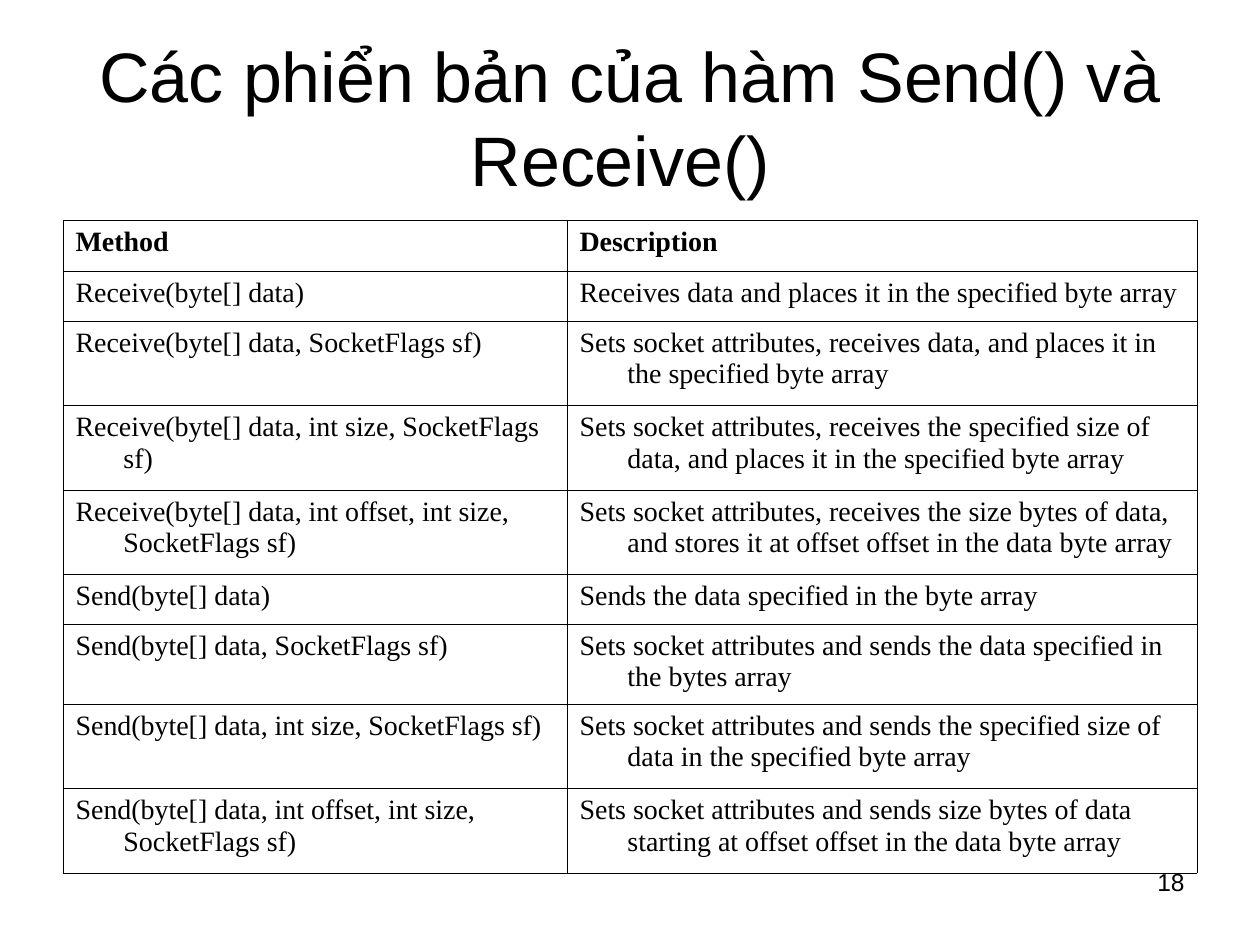
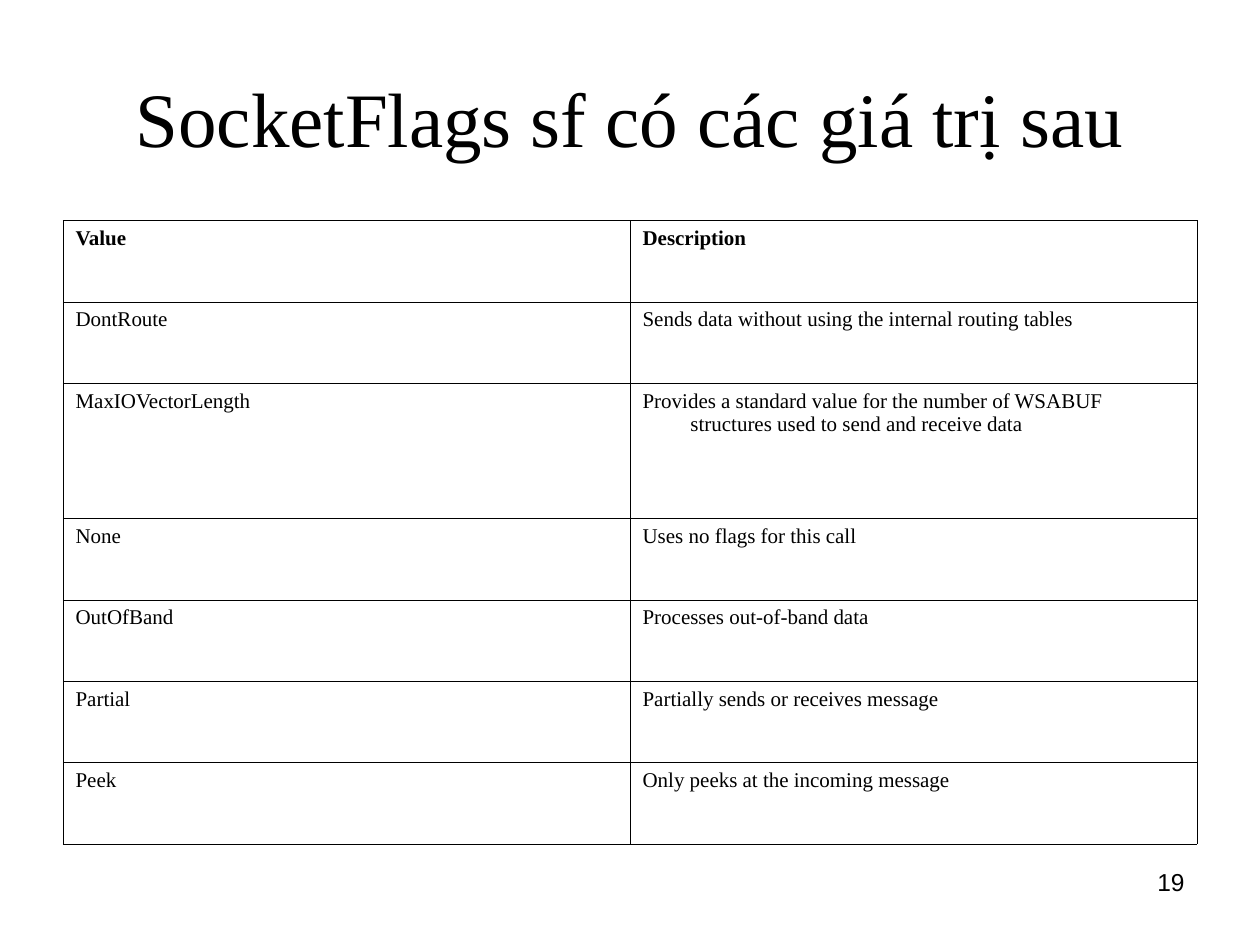
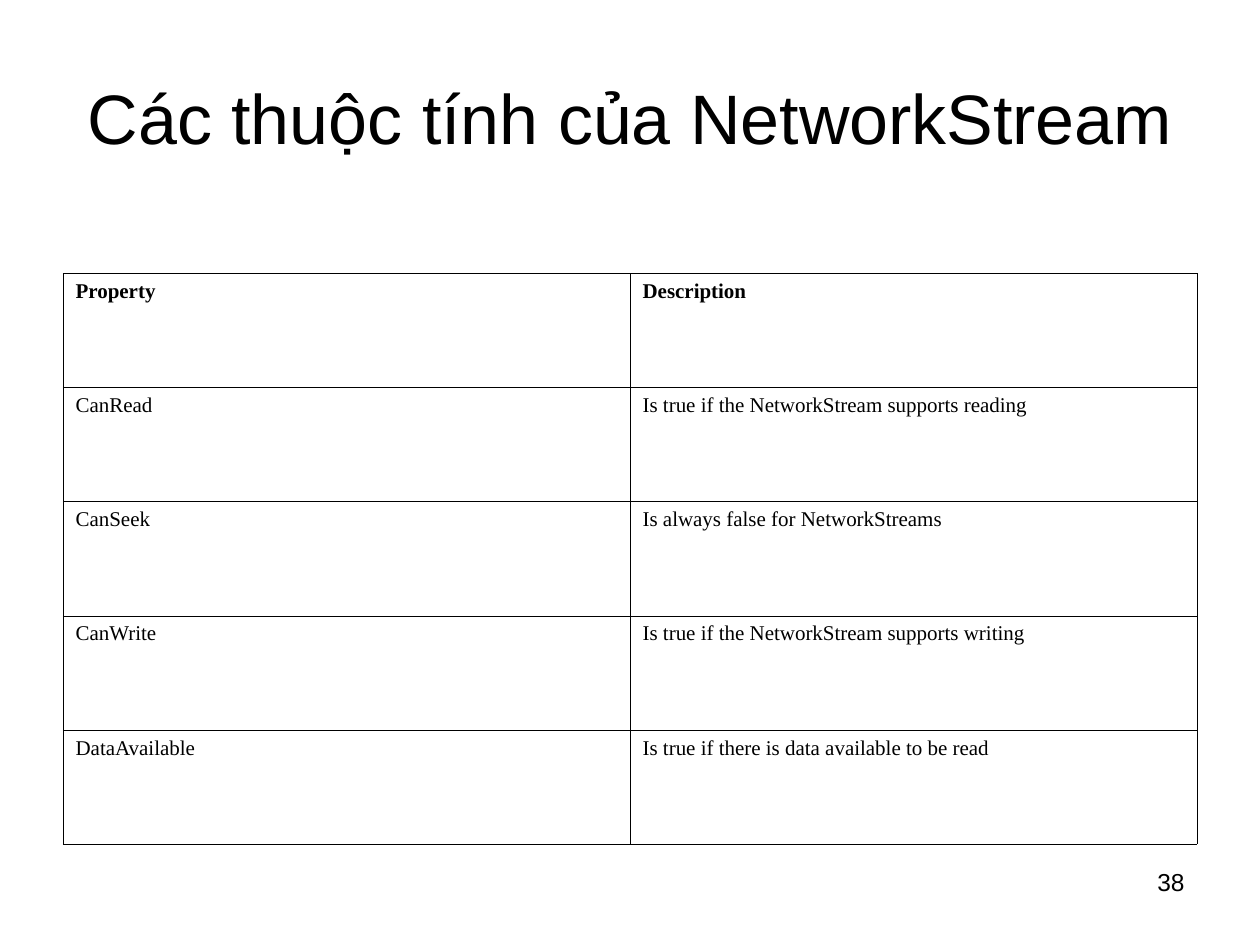
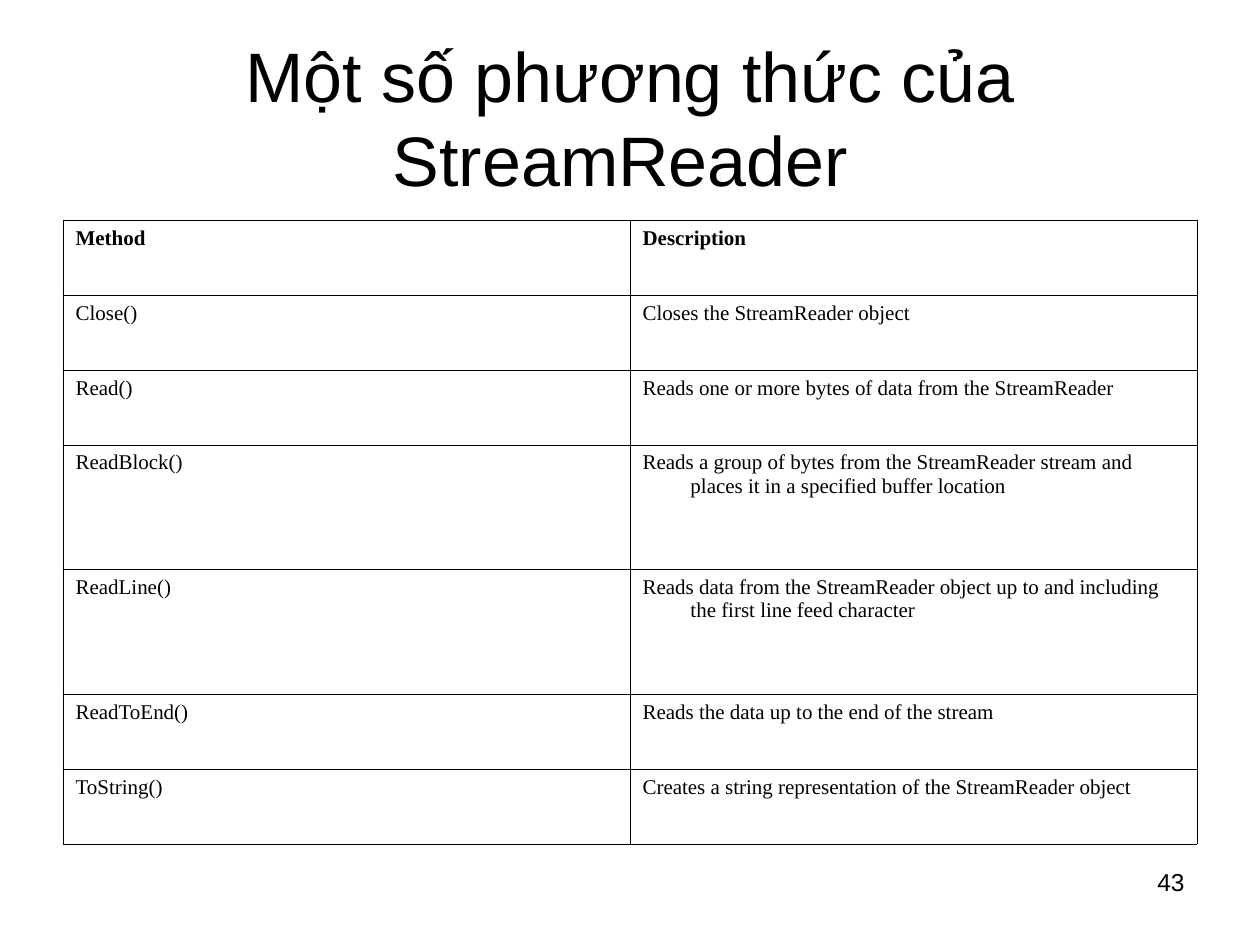
from lxml import etree
from pptx import Presentation
from pptx import util as u
from pptx.dml.color import RGBColor
from pptx.enum import text
from pptx.oxml.ns import qn

# Grid: 20 columns by 30 rows over a 10 x 7.5 inch slide
WIDTH, HEIGHT = u.Inches(10), u.Inches(7.5)
COLUMNS, ROWS = 20, 30
MARGIN, CONTENT_WIDTH = 1, 18
TABLE_TOP, TABLE_BOTTOM = 7, 26.8

# Shared style
SANS, SERIF = "Arial", "Times New Roman"
INK = "000000"
BORDER_WIDTH = u.Pt(0.34)
HANGING = u.Inches(0.38)

# Row height weights
SHORT, MEDIUM, TALL = 3, 4.75, 5


def color(value):
    return RGBColor.from_string(value)


class TableDeck:
    """Holds the shared style and the page being built."""

    def __init__(self):
        self.deck = Presentation()
        self.deck.slide_width, self.deck.slide_height = WIDTH, HEIGHT
        self.page = None

    def area(self, column, row, columns, rows):
        return (int(WIDTH * column / COLUMNS), int(HEIGHT * row / ROWS),
                int(WIDTH * columns / COLUMNS), int(HEIGHT * rows / ROWS))

    def style(self, para, size, font=SANS, bold=False):
        para.font.size = u.Pt(size)
        para.font.name = font
        para.font.bold = bold
        para.font.color.rgb = color(INK)

    def new_page(self, title, number, size=40, font=SANS):
        self.page = self.deck.slides.add_slide(self.deck.slide_layouts[5])
        self.title(title, size, font)
        self.page_number(number)

    def title(self, words, size, font):
        box = self.page.shapes.title
        box.left, box.top, box.width, box.height = self.area(MARGIN, 1.2, CONTENT_WIDTH, 5)
        frame = box.text_frame
        frame.text = words
        frame.auto_size = text.MSO_AUTO_SIZE.NONE
        frame.vertical_anchor = text.MSO_ANCHOR.MIDDLE
        para = frame.paragraphs[0]
        para.alignment = text.PP_ALIGN.CENTER
        self.style(para, size, font)

    def page_number(self, number):
        box = self.page.shapes.add_textbox(*self.area(14.34, 27.32, 4.66, 2.08))
        box.text_frame.word_wrap = True
        box.text_frame.text = str(number)
        para = box.text_frame.paragraphs[0]
        para.alignment = text.PP_ALIGN.RIGHT
        self.style(para, 14)

    def table(self, rows, heights, widths=(1, 1), size=12,
              top=TABLE_TOP, bottom=TABLE_BOTTOM):
        """Share the table's area among rows and columns by weight."""
        place = self.area(MARGIN, top, CONTENT_WIDTH, bottom - top)
        table = self.page.shapes.add_table(len(rows), len(widths), *place).table
        table.first_row = table.horz_banding = False
        for column, weight in zip(table.columns, widths):
            column.width = int(place[2] * weight / sum(widths))
        for row, weight in zip(table.rows, heights):
            row.height = int(place[3] * weight / sum(heights))
        for i, row in enumerate(rows):
            for j, words in enumerate(row):
                self.cell(table.cell(i, j), words, size, bold=i == 0)

    def cell(self, cell, words, size, bold):
        self.borders(cell)
        cell.fill.background()
        cell.text = words
        para = cell.text_frame.paragraphs[0]
        properties = para._p.get_or_add_pPr()
        properties.set("marL", str(HANGING))
        properties.set("indent", str(-HANGING))
        self.style(para, size, SERIF, bold)

    def borders(self, cell):
        properties = cell._tc.get_or_add_tcPr()
        for side in ("lnL", "lnR", "lnT", "lnB"):
            line = etree.SubElement(properties, qn("a:" + side), w=str(BORDER_WIDTH))
            fill = etree.SubElement(line, qn("a:solidFill"))
            etree.SubElement(fill, qn("a:srgbClr"), val=INK)


def main():
    show = TableDeck()

    # Overloads of Send() and Receive()
    show.new_page("Các phiển bản của hàm Send() và Receive() ", 18)
    show.table([
        ("Method", "Description"),
        ("Receive(byte[] data)",
         "Receives data and places it in the specified byte array"),
        ("Receive(byte[] data, SocketFlags sf)",
         "Sets socket attributes, receives data, and places it in the specified byte array"),
        ("Receive(byte[] data, int size, SocketFlags sf)",
         "Sets socket attributes, receives the specified size of data, "
         "and places it in the specified byte array"),
        ("Receive(byte[] data, int offset, int size, SocketFlags sf)",
         "Sets socket attributes, receives the size bytes of data, "
         "and stores it at offset offset in the data byte array"),
        ("Send(byte[] data)",
         "Sends the data specified in the byte array"),
        ("Send(byte[] data, SocketFlags sf)",
         "Sets socket attributes and sends the data specified in the bytes array"),
        ("Send(byte[] data, int size, SocketFlags sf)",
         "Sets socket attributes and sends the specified size of data "
         "in the specified byte array"),
        ("Send(byte[] data, int offset, int size, SocketFlags sf)",
         "Sets socket attributes and sends size bytes of data "
         "starting at offset offset in the data byte array"),
    ], [SHORT] * 2 + [TALL] * 3 + [SHORT, MEDIUM] + [TALL] * 2,
        widths=(4, 5), size=16, bottom=27.72)

    # SocketFlags values
    show.new_page("SocketFlags sf có các giá trị sau", 19, size=44, font=SERIF)
    show.table([
        ("Value", "Description"),
        ("DontRoute", "Sends data without using the internal routing tables"),
        ("MaxIOVectorLength",
         "Provides a standard value for the number of WSABUF structures "
         "used to send and receive data"),
        ("None", "Uses no flags for this call"),
        ("OutOfBand", "Processes out-of-band data"),
        ("Partial", "Partially sends or receives message"),
        ("Peek", "Only peeks at the incoming message"),
    ], [SHORT] * 2 + [TALL] + [SHORT] * 4)

    # NetworkStream properties
    show.new_page("Các thuộc tính của NetworkStream", 38)
    show.table([
        ("Property", "Description"),
        ("CanRead", "Is true if the NetworkStream supports reading"),
        ("CanSeek", "Is always false for NetworkStreams"),
        ("CanWrite", "Is true if the NetworkStream supports writing"),
        ("DataAvailable", "Is true if there is data available to be read"),
    ], [TALL] * 5, top=8.68)

    # StreamReader methods
    show.new_page("Một số phương thức của StreamReader ", 43)
    show.table([
        ("Method", "Description"),
        ("Close()", "Closes the StreamReader object"),
        ("Read()", "Reads one or more bytes of data from the StreamReader"),
        ("ReadBlock()",
         "Reads a group of bytes from the StreamReader stream "
         "and places it in a specified buffer location"),
        ("ReadLine()",
         "Reads data from the StreamReader object up to "
         "and including the first line feed character"),
        ("ReadToEnd()", "Reads the data up to the end of the stream"),
        ("ToString()", "Creates a string representation of the StreamReader object"),
    ], [SHORT] * 3 + [TALL] * 2 + [SHORT] * 2)

    show.deck.save("out.pptx")


if __name__ == "__main__":
    main()
